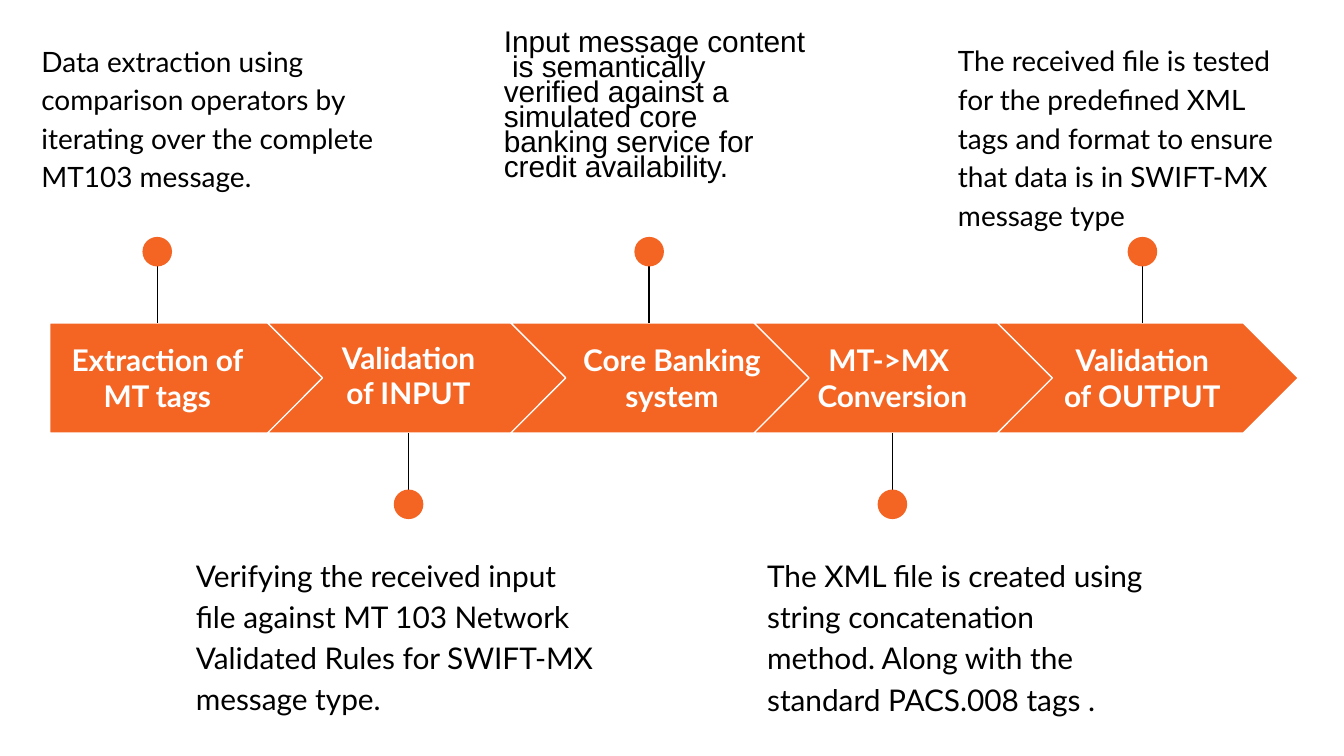
"""Build a five-step chevron process slide for converting MT messages to MX."""
import pptx
import pptx.dml.color
import pptx.enum.shapes
import pptx.enum.text
import pptx.oxml.ns
import pptx.util
from lxml import etree

Inches, Pt = pptx.util.Inches, pptx.util.Pt
RGB = pptx.dml.color.RGBColor.from_string
SHAPE = pptx.enum.shapes.MSO_SHAPE
ANCHOR = pptx.enum.text.MSO_ANCHOR
ALIGN = pptx.enum.text.PP_ALIGN

THEME = {
    "accent": RGB("F46524"), "light": RGB("FFFFFF"), "ink": RGB("000000"),
    "font": "Lato", "plain_font": "Arial",
    "large": Pt(16), "small": Pt(15), "line": Pt(0.75),
}
LABEL_FONT = {"name": THEME["font"], "size": THEME["large"], "bold": True}
LARGE_FONT = {"name": THEME["font"], "size": THEME["large"]}
SMALL_FONT = {"name": THEME["font"], "size": THEME["small"]}
PLAIN_FONT = {"name": THEME["plain_font"], "size": THEME["large"]}

STEPS = [
    {"label": ["Extraction of MT tags"], "pin": 1.17, "label_box": (1.17, 2.81, 1.59),
     "note": "Data extraction using comparison operators by iterating over the complete MT103 message.",
     "note_box": (0.21, 0.19, 2.94, 1.68), "font": SMALL_FONT, "spacing": 1.15},
    {"label": ["Validation of INPUT"], "pin": 3.04, "label_box": (3.04, 2.79, 1.44),
     "note": "Verifying the received input file against MT 103 Network Validated Rules "
             "for SWIFT-MX message type.",
     "note_box": (1.36, 4.01, 3.17, 1.14), "font": LARGE_FONT, "spacing": 1.15},
    {"label": ["Core Banking system"], "pin": 4.83, "label_box": (5, 2.81, 1.92),
     "note": "Input message content\v is semantically verified against a simulated core "
             "banking service for credit availability.",
     "note_box": (3.65, 0.14, 2.45, 1.38), "font": PLAIN_FONT, "spacing": 0.7},
    {"label": ["MT->MX ", "Conversion"], "pin": 6.64, "label_box": (6.64, 2.81, 1.44),
     "note": "The XML file is created using string concatenation method. "
             "Along with the standard PACS.008 tags .",
     "note_box": (5.61, 4.01, 3, 1.89), "font": LARGE_FONT, "spacing": 1.15},
    {"label": ["Validation of OUTPUT"], "pin": 8.5, "label_box": (8.5, 2.81, 1.44),
     "note": "The received file is tested for the predefined XML tags and format to ensure "
             "that data is in SWIFT-MX message type",
     "note_box": (7.03, 0.19, 2.74, 1.23), "font": SMALL_FONT, "spacing": 1.15},
]

WIDTH = 10
HEIGHT = WIDTH * 9 / 16
MIDDLE = HEIGHT / 2
BAND_HEIGHT, STEP_WIDTH, PITCH = 0.82, 2.24, 1.81
BAND_LEFT, FIRST_LEFT = 0.18, 0.37
LABEL_HEIGHT, DOT, DOT_REACH, INSET = 0.51, 0.22, 0.94, 0.1


def apply(target, values):
    for name, value in values.items():
        setattr(target, name, value)


def add_filled(shapes, kind, box, outlined):
    shape = shapes.add_shape(kind, *map(Inches, box))
    shape.shadow.inherit = False
    shape.fill.solid()
    shape.fill.fore_color.rgb = THEME["accent"]
    if outlined:
        shape.line.color.rgb = THEME["light"]
        shape.line.width = THEME["line"]
    else:
        shape.line.fill.background()


def add_text(shapes, box, lines, font, color, anchor, paragraph_format):
    frame = shapes.add_textbox(*map(Inches, box)).text_frame
    margins = dict.fromkeys(("margin_left", "margin_top", "margin_right", "margin_bottom"),
                            Inches(INSET))
    apply(frame, {"word_wrap": True, "vertical_anchor": anchor, **margins})
    frame.text = "\n".join(lines)
    for paragraph in frame.paragraphs:
        apply(paragraph, paragraph_format)
        for run in paragraph.runs:
            apply(run.font, font)
            run.font.color.rgb = color


def add_pin(shapes, x, side):
    pin = shapes.add_group_shape().shapes
    edge = MIDDLE + side * BAND_HEIGHT / 2
    center = MIDDLE + side * DOT_REACH
    stem = pin.add_connector(pptx.enum.shapes.MSO_CONNECTOR.STRAIGHT,
                             *map(Inches, (x, center, x, edge)))
    stem.line.color.rgb = THEME["ink"]
    stem.line.width = THEME["line"]
    etree.SubElement(stem._element.spPr, pptx.oxml.ns.qn("a:effectLst"))
    add_filled(pin, SHAPE.OVAL, (x - DOT / 2, center - DOT / 2, DOT, DOT), False)


def add_step(shapes, index, step):
    left = BAND_LEFT + index * PITCH
    right = left + STEP_WIDTH
    kind = SHAPE.CHEVRON
    if index == 0:
        left, kind = FIRST_LEFT, SHAPE.PENTAGON
    add_filled(shapes, kind, (left, MIDDLE - BAND_HEIGHT / 2, right - left, BAND_HEIGHT), True)
    x, y, width = step["label_box"]
    add_text(shapes, (x - width / 2, y - LABEL_HEIGHT / 2, width, LABEL_HEIGHT), step["label"],
             LABEL_FONT, THEME["light"], ANCHOR.MIDDLE, {"alignment": ALIGN.CENTER})
    add_pin(shapes, step["pin"], 1 if index % 2 else -1)
    add_text(shapes, step["note_box"], [step["note"]], step["font"], THEME["ink"], ANCHOR.TOP,
             {"alignment": ALIGN.LEFT, "line_spacing": step["spacing"]})


def main():
    deck = pptx.Presentation()
    apply(deck, {"slide_width": Inches(WIDTH), "slide_height": Inches(HEIGHT)})
    slide = deck.slides.add_slide(deck.slide_layouts.get_by_name("Blank"))
    for index, step in enumerate(STEPS):
        add_step(slide.shapes, index, step)
    deck.save("out.pptx")


if __name__ == "__main__":
    main()
